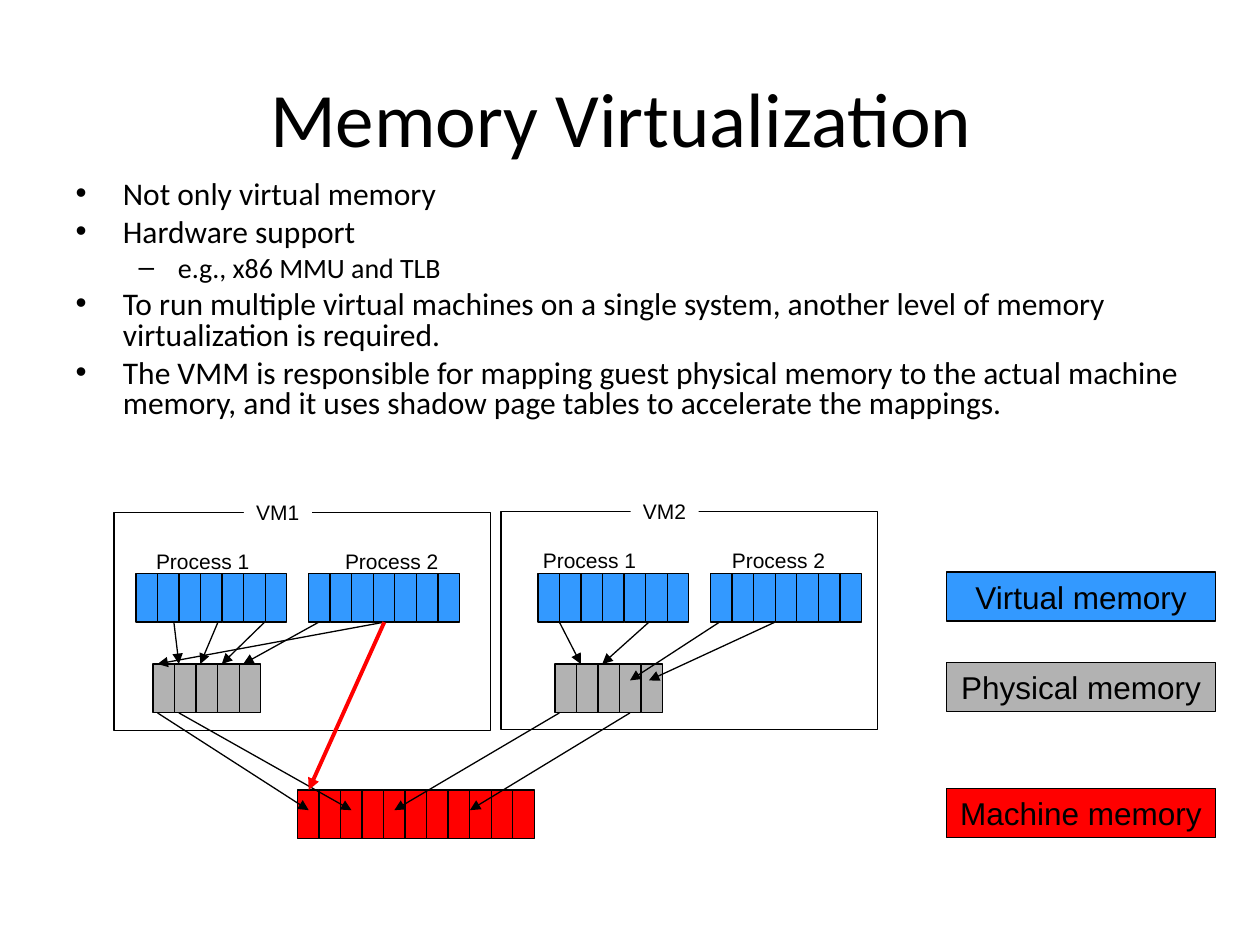
from dataclasses import dataclass

from lxml.etree import SubElement
from pptx import Presentation
from pptx.dml.color import RGBColor
from pptx.enum.shapes import MSO_CONNECTOR as Connector, MSO_SHAPE as Preset
from pptx.enum.text import MSO_ANCHOR as Anchor, MSO_AUTO_SIZE as AutoSize, PP_ALIGN as Align
from pptx.oxml.ns import qn
from pptx.util import Inches, Pt


@dataclass(frozen=True)
class Theme:
    ink: str = "000000"
    paper: str = "FFFFFF"
    virtual: str = "3399FF"
    physical: str = "B2B2B2"
    machine: str = "FF0000"
    heading_font: str = "Calibri"
    diagram_font: str = "Arial"
    title_size: float = 44
    body_size: float = 18
    detail_size: float = 16
    legend_size: float = 18
    label_size: float = 12
    thin: float = 0.75
    thick: float = 2.25


@dataclass(frozen=True)
class Box:
    left: float
    top: float
    width: float
    height: float


@dataclass(frozen=True)
class VirtualMachine:
    name: str
    frame_left: float
    frame_top: float
    bars_left: float


@dataclass(frozen=True)
class Mapping:
    start: float
    start_row: float
    end: float
    end_row: float
    color: str = Theme.ink
    weight: float = Theme.thin


@dataclass(frozen=True)
class Bullet:
    text: str
    level: int = 0


THEME = Theme()
WIDTH, HEIGHT = Inches(10), Inches(7.5)
COLUMNS, ROWS = 100, 75
CELL_WIDTH, CELL_HEIGHT = 1.71, 3.88
VIRTUAL_ROW, PHYSICAL_ROW, MACHINE_ROW = 45.5, 52.7, 62.7
VIRTUAL_END, PHYSICAL_END = VIRTUAL_ROW + CELL_HEIGHT, PHYSICAL_ROW + CELL_HEIGHT
INSIDE_PHYSICAL, INSIDE_MACHINE = PHYSICAL_ROW + 1.3, MACHINE_ROW + 1.6

BULLETS = [
    Bullet("Not only virtual memory"),
    Bullet("Hardware support"),
    Bullet("e.g., x86 MMU and TLB", 1),
    Bullet("To run multiple virtual machines on a single system, another level of memory "
           "virtualization is required."),
    Bullet("The VMM is responsible for mapping guest physical memory to the actual machine "
           "memory, and it uses shadow page tables to accelerate the mappings."),
]
MACHINES = [
    VirtualMachine("VM1", 9.05, 40.7, 10.8),
    VirtualMachine("VM2", 39.75, 40.6, 42.7),
]
LEGEND = [
    ("Machine memory", MACHINE_ROW, THEME.machine),
    ("Physical memory", PHYSICAL_ROW, THEME.physical),
    ("Virtual memory", VIRTUAL_ROW, THEME.virtual),
]
MAPPINGS = [
    *(Mapping(start, VIRTUAL_END, end, PHYSICAL_ROW) for start, end in [
        (13.8, 14.2), (17.3, 15.9), (21, 17.6), (30.5, 12.5), (25.3, 19.3),
        (44.4, 46.1), (51.5, 47.8)]),
    *(Mapping(start, VIRTUAL_END, end, INSIDE_PHYSICAL) for start, end in [
        (61.5, 51.5), (57.1, 50)]),
    *(Mapping(start, PHYSICAL_END, end, INSIDE_MACHINE) for start, end in [
        (12.5, 24.5), (14.2, 27.9), (50, 37.3), (44.4, 31.3)]),
    Mapping(30.5, VIRTUAL_END, 24.5, MACHINE_ROW, THEME.machine, THEME.thick),
]


def across(columns: float) -> int:
    return round(WIDTH * columns / COLUMNS)


def down(rows: float) -> int:
    return round(HEIGHT * rows / ROWS)


def place(box: Box) -> tuple[int, int, int, int]:
    return across(box.left), down(box.top), across(box.width), down(box.height)


def write(paragraph, text: str, *, size: float, font: str, color: str = THEME.ink,
          align=None, level: int = 0, before: float = 0, spacing: float = 1.0) -> None:
    paragraph.level = level
    paragraph.alignment = align
    paragraph.space_before = Pt(before)
    paragraph.line_spacing = spacing
    run = paragraph.add_run()
    run.text = text
    run.font.size = Pt(size)
    run.font.name = font
    run.font.color.rgb = RGBColor.from_string(color)


def add_rectangle(slide, box: Box, fill: str | None = None, outline: str | None = THEME.ink):
    shape = slide.shapes.add_shape(Preset.RECTANGLE, *place(box))
    shape.shadow.inherit = False
    if fill:
        shape.fill.solid()
        shape.fill.fore_color.rgb = RGBColor.from_string(fill)
    else:
        shape.fill.background()
    if outline:
        shape.line.color.rgb = RGBColor.from_string(outline)
        shape.line.width = Pt(THEME.thin)
    else:
        shape.line.fill.background()
    return shape


def add_bar(slide, left: float, top: float, cells: int, fill: str) -> None:
    for index in range(cells):
        add_rectangle(slide, Box(left + index * CELL_WIDTH, top, CELL_WIDTH, CELL_HEIGHT), fill)


def add_label(shape, text: str) -> None:
    frame = shape.text_frame
    frame.word_wrap = False
    frame.auto_size = AutoSize.SHAPE_TO_FIT_TEXT
    frame.vertical_anchor = Anchor.TOP
    write(frame.paragraphs[0], text, size=THEME.label_size, font=THEME.diagram_font,
          align=Align.LEFT)


def add_machine_bars(slide, machine: VirtualMachine) -> None:
    add_bar(slide, machine.bars_left + 1.35, PHYSICAL_ROW, 5, THEME.physical)
    for offset in (0, 13.7):
        add_bar(slide, machine.bars_left + offset, VIRTUAL_ROW, 7, THEME.virtual)


def add_machine_frame(slide, machine: VirtualMachine) -> None:
    left, top = machine.frame_left, machine.frame_top
    add_rectangle(slide, Box(left, top, 29.9, 17.3))
    for number, offset in enumerate((2.35, 17.35), start=1):
        label = slide.shapes.add_textbox(*place(Box(left + offset, top + 2.35, 9.4, 3)))
        add_label(label, f"Process {number}")
    tab = add_rectangle(slide, Box(left + 10.3, top - 1.55, 5.4, 3), THEME.paper, None)
    add_label(tab, machine.name)


def add_legend(slide, text: str, top: float, fill: str) -> None:
    shape = add_rectangle(slide, Box(75.1, top - 0.1, 21.4, CELL_HEIGHT), fill)
    shape.text_frame.word_wrap = False
    shape.text_frame.vertical_anchor = Anchor.MIDDLE
    write(shape.text_frame.paragraphs[0], text, size=THEME.legend_size,
          font=THEME.diagram_font, align=Align.CENTER)


def add_arrow(slide, mapping: Mapping) -> None:
    arrow = slide.shapes.add_connector(
        Connector.STRAIGHT, across(mapping.start), down(mapping.start_row),
        across(mapping.end), down(mapping.end_row))
    arrow.line.color.rgb = RGBColor.from_string(mapping.color)
    arrow.line.width = Pt(mapping.weight)
    SubElement(arrow.line._get_or_add_ln(), qn("a:tailEnd"), type="triangle")
    SubElement(arrow._element.spPr, qn("a:effectLst"))


def fill_placeholders(slide) -> None:
    title, body = slide.placeholders
    for shape, box in ((title, Box(5, 3, 90, 12.5)), (body, Box(5, 13.9, 90, 20.6))):
        shape.left, shape.top, shape.width, shape.height = place(box)
        shape.text_frame.auto_size = AutoSize.NONE
    write(title.text_frame.paragraphs[0], "Memory Virtualization ", size=THEME.title_size,
          font=THEME.heading_font, align=Align.CENTER)
    frame = body.text_frame
    for index, bullet in enumerate(BULLETS):
        size = THEME.detail_size if bullet.level else THEME.body_size
        write(frame.add_paragraph() if index else frame.paragraphs[0], bullet.text, size=size,
              font=THEME.heading_font, level=bullet.level,
              before=size / 4 if index else 0, spacing=0.8)


def main() -> None:
    presentation = Presentation()
    presentation.slide_width, presentation.slide_height = WIDTH, HEIGHT
    slide = presentation.slides.add_slide(presentation.slide_layouts[1])
    fill_placeholders(slide)
    add_bar(slide, 23.6, MACHINE_ROW, 11, THEME.machine)
    for machine in MACHINES:
        add_machine_bars(slide, machine)
    for text, top, fill in LEGEND:
        add_legend(slide, text, top, fill)
    for machine in MACHINES:
        add_machine_frame(slide, machine)
    for mapping in MAPPINGS:
        add_arrow(slide, mapping)
    presentation.save("out.pptx")


if __name__ == "__main__":
    main()
